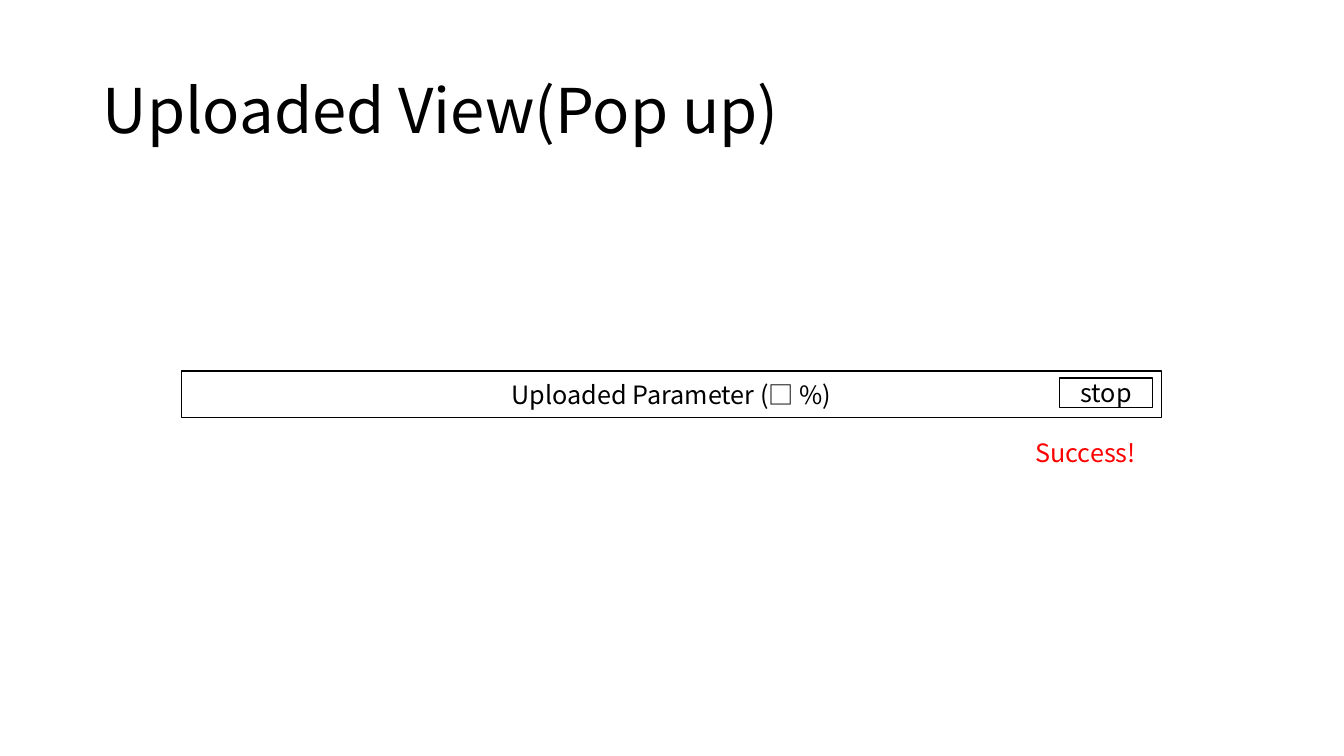
import pptx
import pptx.util
import pptx.dml.color
import pptx.enum.shapes
import pptx.enum.text
import pptx.oxml
import pptx.oxml.ns

Inches = pptx.util.Inches
Align = pptx.enum.text.PP_ALIGN
Anchor = pptx.enum.text.MSO_ANCHOR
Fit = pptx.enum.text.MSO_AUTO_SIZE

COLORS = {"ink": "000000", "alert": "FF0000"}
FONT = "Noto Sans CJK JP"


def color(name):
    return pptx.dml.color.RGBColor.from_string(COLORS[name])


def write(frame, text, size=18, ink="ink", align=Align.LEFT,
          anchor=Anchor.MIDDLE, fit=Fit.NONE, space=1.0):
    frame.word_wrap = True
    frame.auto_size = fit
    frame.vertical_anchor = anchor
    para = frame.paragraphs[0]
    para.alignment = align
    para.line_spacing = space
    run = para.add_run()
    run.text = text
    run.font.size = pptx.util.Pt(size)
    run.font.name = FONT
    run.font.color.rgb = color(ink)
    # East Asian symbols use the same font
    east = pptx.oxml.parse_xml(
        f'<a:ea {pptx.oxml.ns.nsdecls("a")} typeface="{FONT}"/>')
    run.font._element.append(east)


class Page:
    def __init__(self, deck):
        self.slide = deck.slides.add_slide(deck.slide_layouts[5])
        self.shapes = self.slide.shapes

    def title(self, text, left, top, width, height):
        head = self.shapes.title
        head.left, head.top = Inches(left), Inches(top)
        head.width, head.height = Inches(width), Inches(height)
        write(head.text_frame, text, size=44, space=0.9)

    def box(self, text, left, top, width, height):
        rect = self.shapes.add_shape(
            pptx.enum.shapes.MSO_SHAPE.RECTANGLE,
            Inches(left), Inches(top), Inches(width), Inches(height))
        rect.shadow.inherit = False
        rect.fill.background()
        rect.line.color.rgb = color("ink")
        rect.line.width = pptx.util.Pt(1)
        write(rect.text_frame, text, align=Align.CENTER)

    def label(self, text, left, top, width, height, ink):
        area = self.shapes.add_textbox(
            Inches(left), Inches(top), Inches(width), Inches(height))
        write(area.text_frame, text, ink=ink, anchor=Anchor.TOP,
              fit=Fit.SHAPE_TO_FIT_TEXT)


def main():
    deck = pptx.Presentation()
    deck.slide_width, deck.slide_height = Inches(13.33), Inches(7.5)
    page = Page(deck)

    # Heading
    page.title("Uploaded View(Pop up)", 0.92, 0.4, 11.5, 1.45)

    # Progress bar, result and stop button
    page.box("Uploaded Parameter (□ %)", 1.8, 3.68, 9.72, 0.46)
    page.label("Success!", 10.17, 4.29, 1.27, 0.4, "alert")
    page.box("stop", 10.51, 3.75, 0.92, 0.29)

    deck.save("out.pptx")


if __name__ == "__main__":
    main()
